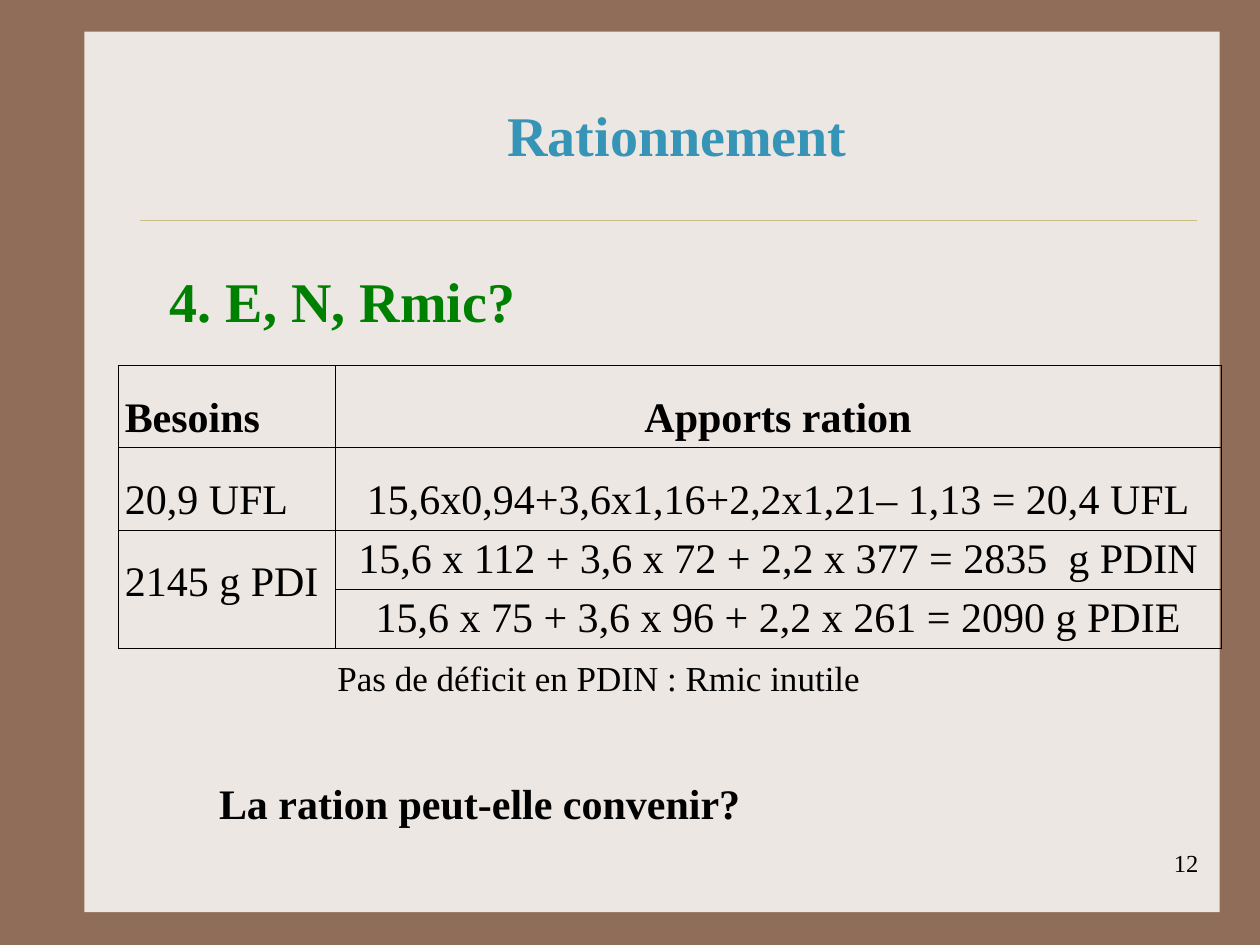
from lxml.etree import SubElement
from pptx import Presentation
from pptx.dml.color import RGBColor
from pptx.enum.shapes import MSO_CONNECTOR, MSO_SHAPE
from pptx.enum.text import MSO_ANCHOR, MSO_AUTO_SIZE, PP_ALIGN
from pptx.oxml.ns import qn
from pptx.util import Inches, Pt

BROWN = RGBColor(0x90, 0x6D, 0x58)
CREAM = RGBColor(0xED, 0xE7, 0xE3)
GOLD = RGBColor(0xCB, 0xBD, 0x83)
BLUE = RGBColor(0x36, 0x94, 0xB6)
GREEN = RGBColor(0x00, 0x80, 0x00)
BLACK = RGBColor(0x00, 0x00, 0x00)
FONT = "Times New Roman"

LEFT, CONTENT_WIDTH = 1.25, 8.25
TITLE = ("Rationnement", (LEFT, 0.75, CONTENT_WIDTH, 0.64))
# text, (left, top, width, height), size, colour, bold, alignment
TEXTS = [
    ("12", (7.53, 6.68, 2.08, 0.5), 14, BLACK, False, PP_ALIGN.RIGHT),
    ("4. E, N, Rmic?", (LEFT, 2.07, CONTENT_WIDTH, 0.64), 32, GREEN, True, PP_ALIGN.LEFT),
    ("La ration peut-elle convenir?", (1.64, 6.12, 7.67, 0.9), 24, BLACK, True, PP_ALIGN.LEFT),
    ("Pas de déficit en PDIN : Rmic inutile", (2.58, 5.16, 5.7, 0.44), 20, BLACK, False,
     PP_ALIGN.LEFT),
]
NEEDS_AND_SUPPLY = [
    ("Besoins", "Apports ration"),
    ("20,9 UFL", "15,6x0,94+3,6x1,16+2,2x1,21– 1,13 = 20,4 UFL"),
    ("2145 g PDI", "15,6 x 112 + 3,6 x 72 + 2,2 x 377 = 2835  g PDIN"),
    (None, "15,6 x 75 + 3,6 x 96 + 2,2 x 261 = 2090 g PDIE"),
]
COLUMN_WIDTHS = (1.72, 7.03)
ROW_HEIGHTS = (0.6, 0.6, 0.4, 0.4)


def inches(values):
    return [Inches(value) for value in values]


def write(frame, text, size, color, bold, alignment):
    frame.text = text
    paragraph = frame.paragraphs[0]
    paragraph.alignment = alignment
    font = paragraph.font
    font.name, font.size, font.bold = FONT, Pt(size), bold
    font.color.rgb = color
    return paragraph


def add_frame(slide):
    """Brown background, cream panel behind everything, thin rule under the title."""
    slide.background.fill.solid()
    slide.background.fill.fore_color.rgb = BROWN
    panel = slide.shapes.add_shape(MSO_SHAPE.RECTANGLE, *inches((0.67, 0.25, 9.01, 6.99)))
    panel.shadow.inherit = False
    panel.fill.solid()
    panel.fill.fore_color.rgb = CREAM
    panel.line.fill.background()
    slide.shapes._spTree.insert(2, panel._element)

    rule = slide.shapes.add_connector(MSO_CONNECTOR.STRAIGHT, *inches((1.11, 1.75, 9.5, 1.75)))
    rule.line.color.rgb = GOLD
    rule.line.width = Pt(0.25)
    SubElement(rule._element.spPr, qn("a:effectLst"))


def add_title(slide, text, box):
    title = slide.shapes.title
    title.left, title.top, title.width, title.height = inches(box)
    frame = title.text_frame
    frame.auto_size = MSO_AUTO_SIZE.NONE
    frame.vertical_anchor = MSO_ANCHOR.TOP
    write(frame, text, 32, BLUE, True, PP_ALIGN.CENTER)


def add_text(slide, text, box, *style):
    frame = slide.shapes.add_textbox(*inches(box)).text_frame
    frame.word_wrap = True
    write(frame, text, *style)


def draw_borders(cell):
    properties = cell._tc.get_or_add_tcPr()
    for position, side in enumerate(("lnL", "lnR", "lnT", "lnB")):
        line = SubElement(properties, qn(f"a:{side}"), w=str(Pt(0.45)))
        fill = SubElement(line, qn("a:solidFill"))
        SubElement(fill, qn("a:srgbClr"), val=str(BLACK))
        properties.insert(position, line)


def add_table(slide):
    box = (0.94, 2.9, sum(COLUMN_WIDTHS), sum(ROW_HEIGHTS))
    table = slide.shapes.add_table(len(ROW_HEIGHTS), len(COLUMN_WIDTHS), *inches(box)).table
    table.first_row = table.horz_banding = False
    for column, width in zip(table.columns, COLUMN_WIDTHS):
        column.width = Inches(width)
    for row, height in zip(table.rows, ROW_HEIGHTS):
        row.height = Inches(height)
    table.cell(2, 0).merge(table.cell(3, 0))

    for row, texts in enumerate(NEEDS_AND_SUPPLY):
        for column, text in enumerate(texts):
            cell = table.cell(row, column)
            cell.fill.background()
            draw_borders(cell)
            if text is None:
                continue
            cell.margin_left = cell.margin_right = Inches(0.05)
            cell.margin_top = cell.margin_bottom = Inches(0.05)
            is_calculation = row > 0 and column == 1
            cell.vertical_anchor = MSO_ANCHOR.BOTTOM if is_calculation else MSO_ANCHOR.TOP
            alignment = PP_ALIGN.CENTER if column else PP_ALIGN.JUSTIFY
            paragraph = write(cell.text_frame, text, 24, BLACK, row == 0, alignment)
            paragraph.line_spacing = 1.0 if is_calculation else 1.5


def main():
    presentation = Presentation()
    presentation.slide_width, presentation.slide_height = inches((10, 7.5))
    slide = presentation.slides.add_slide(presentation.slide_layouts[5])
    add_frame(slide)
    add_title(slide, *TITLE)
    add_table(slide)
    for text in TEXTS:
        add_text(slide, *text)
    presentation.save("out.pptx")


if __name__ == "__main__":
    main()
